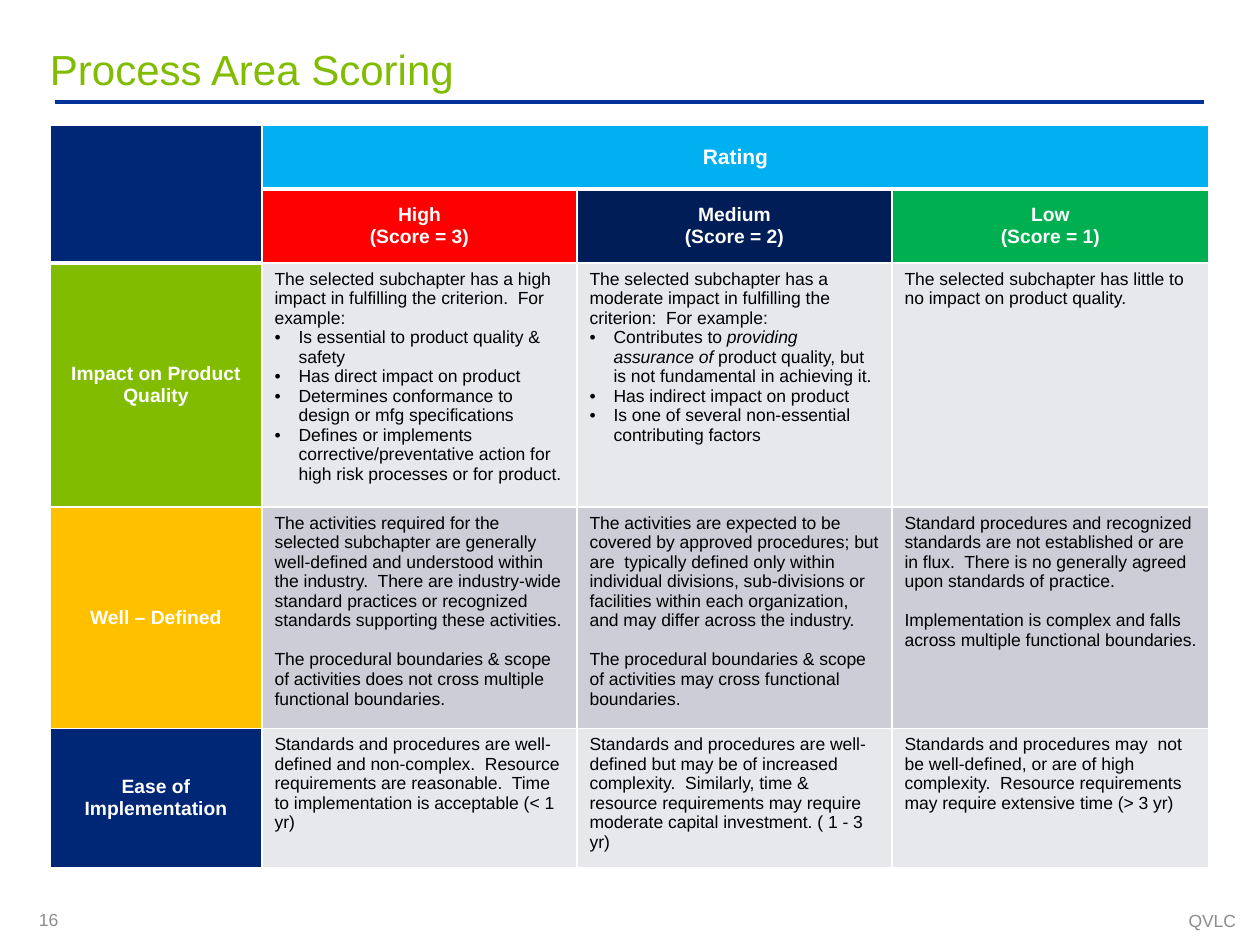
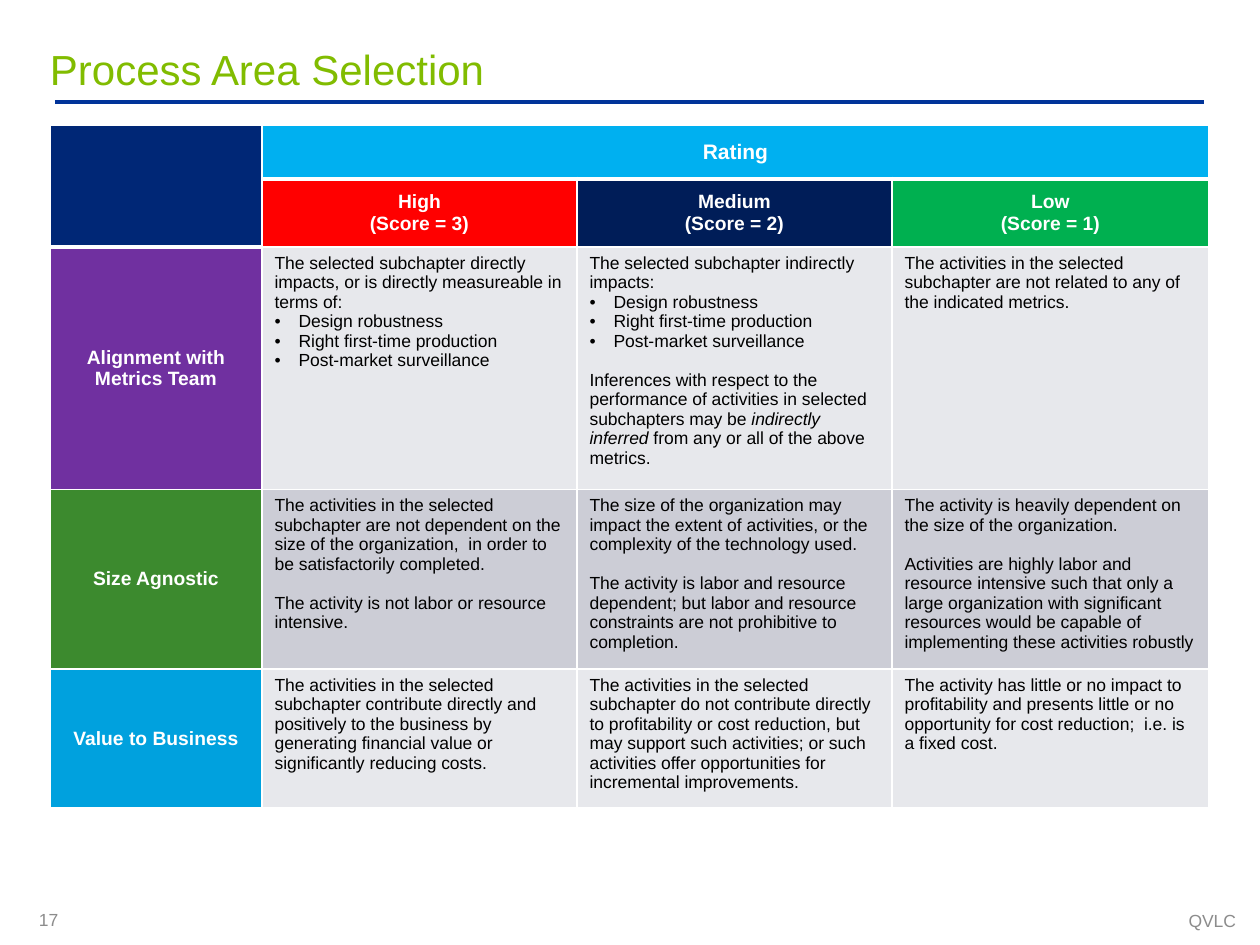
from lxml import etree
from pptx import Presentation
from pptx.dml.color import RGBColor
from pptx.enum.shapes import MSO_CONNECTOR
from pptx.enum.text import MSO_ANCHOR, PP_ALIGN
from pptx.oxml.ns import qn
from pptx.util import Emu, Pt

PIXEL = 914400 / 126
LEFT, CENTER, RIGHT = PP_ALIGN.LEFT, PP_ALIGN.CENTER, PP_ALIGN.RIGHT
TOP, MIDDLE = MSO_ANCHOR.TOP, MSO_ANCHOR.MIDDLE
STRAIGHT = MSO_CONNECTOR.STRAIGHT

FONT = "Arial"
WHITE = RGBColor(0xFF, 0xFF, 0xFF)
BLACK = RGBColor(0x00, 0x00, 0x00)
GRAY = RGBColor(0x8C, 0x8C, 0x8C)
RULE_BLUE = RGBColor(0x00, 0x33, 0x99)
NAVY = RGBColor(0x00, 0x27, 0x76)
DARK_NAVY = RGBColor(0x00, 0x1D, 0x58)
SKY = RGBColor(0x00, 0xB0, 0xF0)
BLUE = RGBColor(0x00, 0xA1, 0xDE)
RED = RGBColor(0xFF, 0x00, 0x00)
GREEN = RGBColor(0x00, 0xB0, 0x50)
LIME = RGBColor(0x81, 0xBC, 0x00)
FOREST = RGBColor(0x3C, 0x8A, 0x2E)
AMBER = RGBColor(0xFF, 0xC0, 0x00)
PURPLE = RGBColor(0x70, 0x30, 0xA0)
BANDS = (RGBColor(0xE7, 0xE8, 0xEC), RGBColor(0xCC, 0xCD, 0xD6))

FOOTER = "QVLC"
COLUMN_WIDTHS = (212, 315, 315, 317)
RATINGS = (("High", 3, RED), ("Medium", 2, DARK_NAVY), ("Low", 1, GREEN))
BULLET, GAP = "• ", "^"
METRICS = [BULLET + metric for metric in (
    "Design robustness", "Right first-time production",
    "Post-market surveillance")]

SCORING = [
    ("Impact on Product Quality", LIME, [
        ["The selected subchapter has a high impact in fulfilling the "
         "criterion.  For example:",
         "• Is essential to product quality & safety",
         "• Has direct impact on product",
         "• Determines conformance to design or mfg specifications",
         "• Defines or implements corrective/preventative action for high "
         "risk processes or for product."],
        ["The selected subchapter has a moderate impact in fulfilling the "
         "criterion:  For example:",
         "• Contributes to *providing assurance of *product quality, but is "
         "not fundamental in achieving it.",
         "• Has indirect impact on product",
         "• Is one of several non-essential contributing factors"],
        ["The selected subchapter has little to no impact on product "
         "quality."]]),
    ("Well – Defined", AMBER, [
        ["The activities required for the selected subchapter are generally "
         "well-defined and understood within  the industry.  There are "
         "industry-wide standard practices or recognized standards "
         "supporting these activities.",
         "^The procedural boundaries & scope of activities does not cross "
         "multiple functional boundaries."],
        ["The activities are expected to be covered by approved procedures; "
         "but are  typically defined only within individual divisions, "
         "sub-divisions or facilities within each organization, and may "
         "differ across the industry.",
         "^The procedural boundaries & scope of activities may cross "
         "functional boundaries."],
        ["Standard procedures and recognized standards are not established "
         "or are in flux.  There is no generally agreed upon standards of "
         "practice.",
         "^Implementation is complex and falls across multiple functional "
         "boundaries."]]),
    ("Ease of Implementation", NAVY, [
        ["Standards and procedures are well-defined and non-complex.  "
         "Resource requirements are reasonable.  Time to implementation is "
         "acceptable (< 1 yr)"],
        ["Standards and procedures are well-defined but may be of increased "
         "complexity.  Similarly, time & resource requirements may require "
         "moderate capital investment. ( 1 - 3 yr)"],
        ["Standards and procedures may  not be well-defined, or are of high "
         "complexity.  Resource requirements may require extensive time "
         "(> 3 yr)"]]),
]

SELECTION = [
    ("Alignment with Metrics Team", PURPLE, [
        ["The selected subchapter directly impacts, or is directly "
         "measureable in terms of:", *METRICS],
        ["The selected subchapter indirectly impacts:", *METRICS,
         "^Inferences with respect to the performance of activities in "
         "selected subchapters may be *indirectly inferred* from any or all "
         "of the above metrics."],
        ["The activities in the selected subchapter are not related to any "
         "of the indicated metrics."]]),
    ("Size Agnostic", FOREST, [
        ["The activities in the selected subchapter are not dependent on "
         "the size of the organization,  in order to be satisfactorily "
         "completed.",
         "^The activity is not labor or resource intensive."],
        ["The size of the organization may impact the extent of activities, "
         "or the complexity of the technology used.",
         "^The activity is labor and resource dependent; but labor and "
         "resource constraints are not prohibitive to completion."],
        ["The activity is heavily dependent on the size of the "
         "organization.",
         "^Activities are highly labor and resource intensive such that "
         "only a large organization with significant resources would be "
         "capable of implementing these activities robustly"]]),
    ("Value to Business", BLUE, [
        ["The activities in the selected subchapter contribute directly and "
         "positively to the business by generating financial value or "
         "significantly reducing costs."],
        ["The activities in the selected subchapter do not contribute "
         "directly to profitability or cost reduction, but may support such "
         "activities; or such activities offer opportunities for "
         "incremental improvements."],
        ["The activity has little or no impact to profitability and "
         "presents little or no opportunity for cost reduction;  i.e. is a "
         "fixed cost."]]),
]


def px(length):
    """Turn pixels into EMU."""
    return Emu(round(length * PIXEL))


def add_bullet(paragraph):
    """Give a paragraph a bullet and a hanging indent."""
    properties = paragraph._p.get_or_add_pPr()
    properties.set("marL", str(px(24)))
    properties.set("indent", str(-px(24)))
    etree.SubElement(properties, qn("a:buFont")).set("typeface", FONT)
    etree.SubElement(properties, qn("a:buChar")).set("char", BULLET.strip())


def write(frame, lines, size, color, bold=False, align=LEFT):
    """Write marked lines: a bullet or gap at the start, *italic* within."""
    for index, line in enumerate(lines):
        paragraph = frame.paragraphs[0] if index == 0 else frame.add_paragraph()
        paragraph.alignment = align
        if line.startswith(GAP):
            paragraph.space_before = Pt(11.2)
        if line.startswith(BULLET):
            add_bullet(paragraph)
        text = line.removeprefix(GAP).removeprefix(BULLET)
        for part, words in enumerate(text.split("*")):
            run = paragraph.add_run()
            run.text = words
            run.font.name = FONT
            run.font.size = Pt(size)
            run.font.bold = bold
            run.font.italic = part % 2 == 1
            run.font.color.rgb = color


def add_text(slide, box, text, size, color, align=LEFT):
    """Add one line of text without margins in a box."""
    frame = slide.shapes.add_textbox(*map(px, box)).text_frame
    frame.margin_left = frame.margin_right = 0
    frame.margin_top = frame.margin_bottom = 0
    frame.vertical_anchor = MIDDLE
    frame.word_wrap = True
    write(frame, [text], size, color, align=align)


def add_frame(slide, title, number):
    """Add the title, the rule below it and the footer."""
    add_text(slide, (860, 910, 376, 21), FOOTER, 10, GRAY, RIGHT)
    rule = slide.shapes.add_connector(STRAIGHT, px(55), px(102), px(1204), px(102))
    rule.line.color.rgb = RULE_BLUE
    rule.line.width = Pt(2.25)
    etree.SubElement(rule._element.spPr, qn("a:effectLst"))
    add_text(slide, (39, 903, 34, 34), str(number), 10, GRAY)
    add_text(slide, (50, 37, 1159, 64), title, 24, LIME)


def style_cell(cell, fill, bottom=1):
    """Set the white borders and then the fill of a cell."""
    properties = cell._tc.get_or_add_tcPr()
    for side, width in (("L", 1), ("R", 1), ("T", 1), ("B", bottom)):
        line = etree.SubElement(properties, qn("a:ln" + side), w=str(Pt(width)))
        solid = etree.SubElement(line, qn("a:solidFill"))
        etree.SubElement(solid, qn("a:srgbClr")).set("val", str(WHITE))
    cell.fill.solid()
    cell.fill.fore_color.rgb = fill


def fill_header(cell, lines, fill, size=11, bottom=1):
    """Fill a coloured cell with centred bold text."""
    style_cell(cell, fill, bottom)
    cell.vertical_anchor = MIDDLE
    write(cell.text_frame, lines, size, WHITE, True, CENTER)


def add_rating_table(slide, left, top, heights, criteria):
    """Add the table that rates each criterion high, medium or low."""
    table = slide.shapes.add_table(
        len(heights), len(COLUMN_WIDTHS), px(left), px(top),
        px(sum(COLUMN_WIDTHS)), px(sum(heights))).table
    table.first_row = table.horz_banding = False
    for column, width in zip(table.columns, COLUMN_WIDTHS):
        column.width = px(width)
    for row, height in zip(table.rows, heights):
        row.height = px(height)

    table.cell(0, 0).merge(table.cell(1, 0))
    table.cell(0, 1).merge(table.cell(0, 3))
    for row in (0, 1):
        style_cell(table.cell(row, 0), NAVY, 3)
    fill_header(table.cell(0, 1), ["Rating"], SKY, 12, 3)
    for column in (2, 3):
        style_cell(table.cell(0, column), SKY, 3)
    for column, (level, score, color) in enumerate(RATINGS, 1):
        fill_header(table.cell(1, column), [level, f"(Score = {score})"], color)

    for index, (name, color, descriptions) in enumerate(criteria):
        fill_header(table.cell(index + 2, 0), [name], color)
        for column, lines in enumerate(descriptions, 1):
            cell = table.cell(index + 2, column)
            style_cell(cell, BANDS[index % 2])
            cell.vertical_anchor = TOP
            write(cell.text_frame, lines, 10, BLACK)


def main():
    """Build both rating slides and save them."""
    presentation = Presentation()
    presentation.slide_width, presentation.slide_height = px(1260), px(945)
    pages = (
        ("Process Area Scoring", 16, (64, 74, 227, 208, 129), SCORING),
        ("Process Area Selection", 17, (54, 68, 227, 169, 130), SELECTION),
    )
    for title, number, heights, criteria in pages:
        slide = presentation.slides.add_slide(presentation.slide_layouts[6])
        add_frame(slide, title, number)
        add_rating_table(slide, 50, 125, heights, criteria)
    presentation.save("out.pptx")


main()
